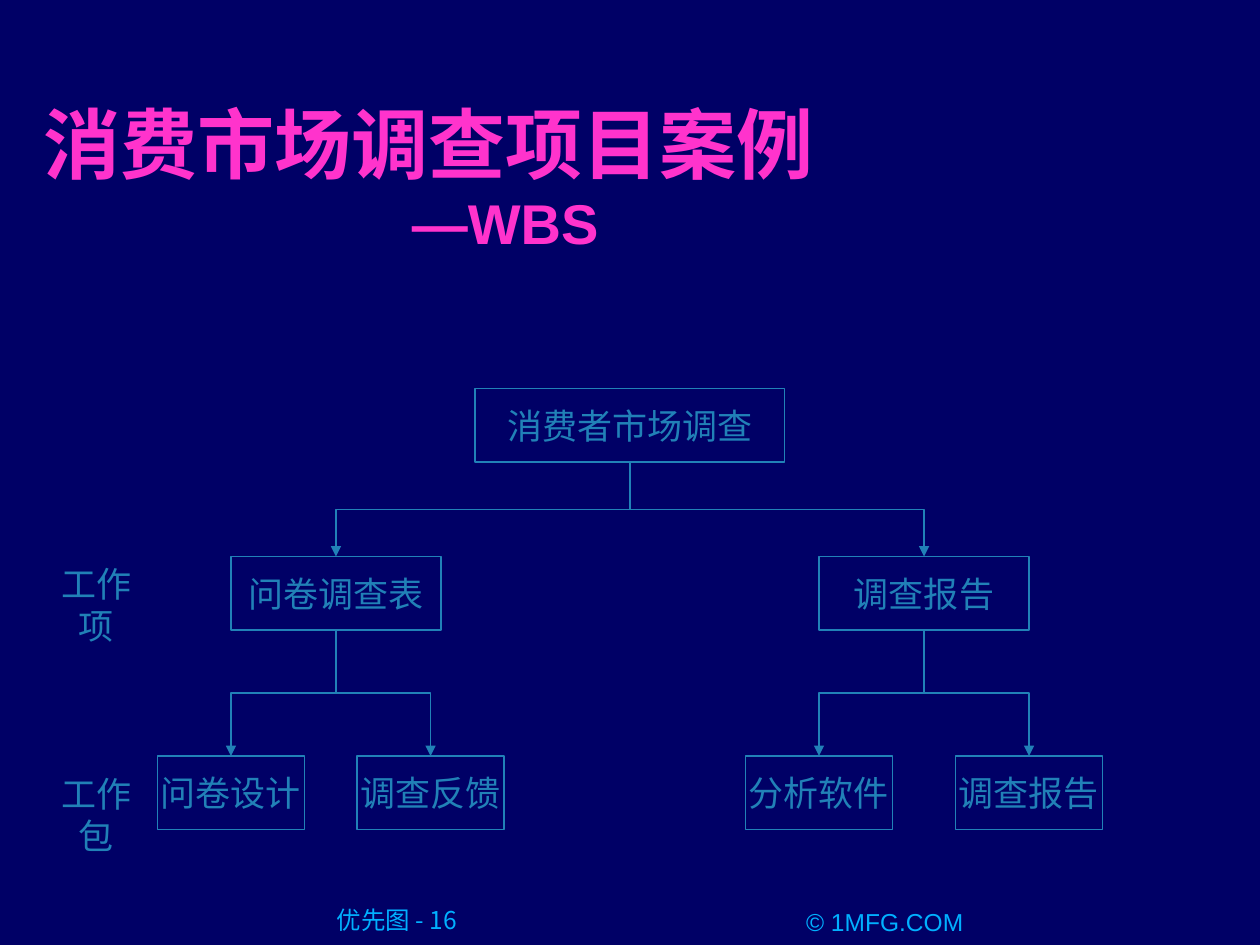
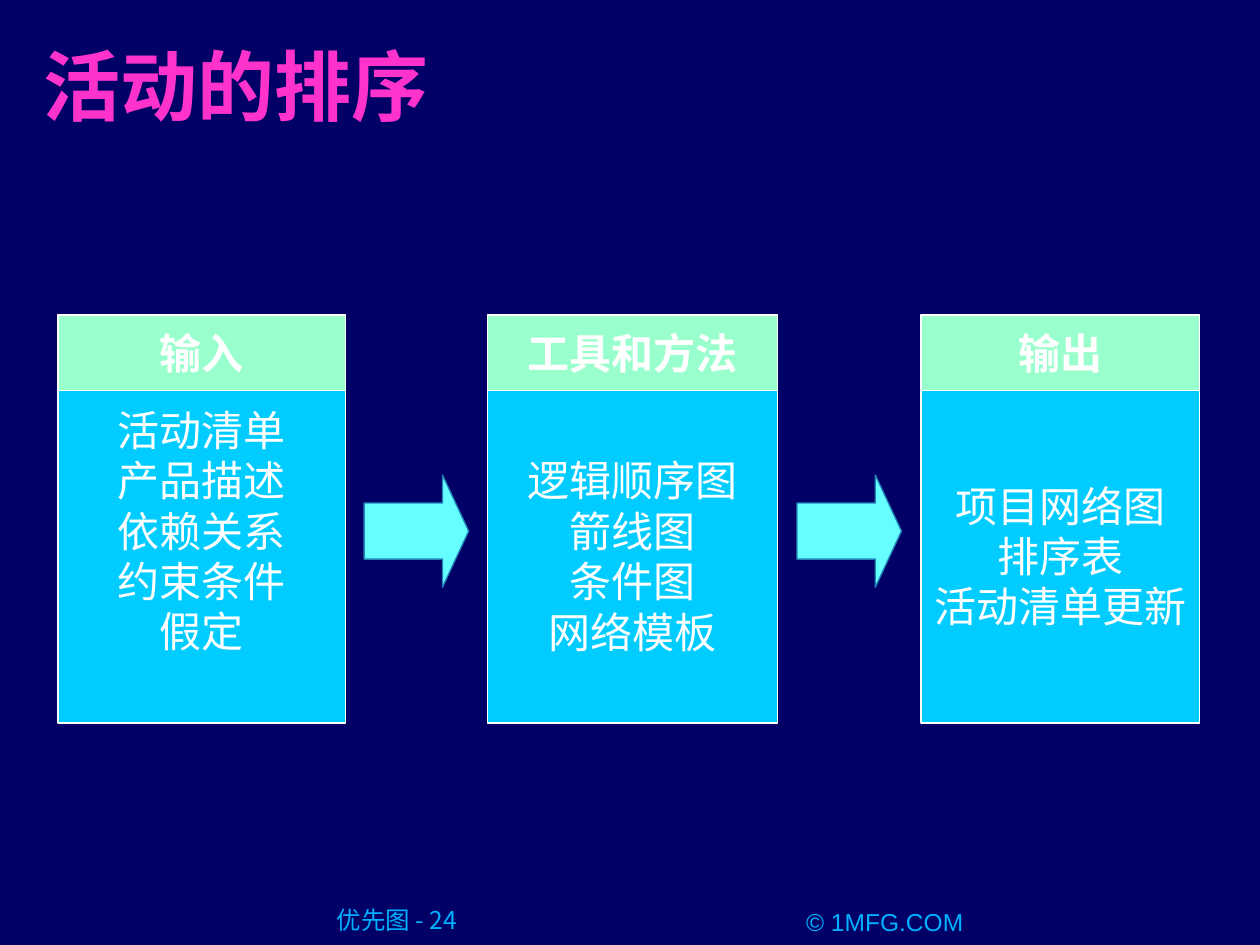
from lxml import etree
from pptx import Presentation
from pptx.dml.color import RGBColor
from pptx.enum.shapes import MSO_CONNECTOR, MSO_SHAPE
from pptx.enum.text import MSO_ANCHOR, PP_ALIGN
from pptx.oxml.ns import qn
from pptx.util import Inches, Pt

RECTANGLE, RIGHT_ARROW = MSO_SHAPE.RECTANGLE, MSO_SHAPE.RIGHT_ARROW
ELBOW = MSO_CONNECTOR.ELBOW
TOP, MIDDLE, BOTTOM = MSO_ANCHOR.TOP, MSO_ANCHOR.MIDDLE, MSO_ANCHOR.BOTTOM
LEFT, CENTER = PP_ALIGN.LEFT, PP_ALIGN.CENTER

COLORS = {
    "background": "000066", "title": "FF33CC", "footer": "01B0FF",
    "tree": "2181B7", "white": "FFFFFF", "header": "99FFCC",
    "panel": "00CCFF", "arrow": "66FFFF",
}
SANS, SERIF, CJK = "Arial", "Times New Roman", "Noto Sans CJK JP"

# The tree lies on a grid of twelfths of an inch: text, centre column, children.
TREE = ("消费者市场调查", 60, [
    ("问卷调查表", 32, [("问卷设计", 22, []), ("调查反馈", 41, [])]),
    ("调查报告", 88, [("分析软件", 78, []), ("调查报告", 98, [])]),
])
LEVELS = [(37, 29.5), (53, 20), (72, 14)]  # top row, box width in columns
BOX_ROWS = 7
LEVEL_LABELS = [("工作项", 53), ("工作包", 73)]

# Left and width in inches, heading, lines, lines left free at the bottom.
PANELS = [
    (0.46, 2.28, "输入", ["活动清单", "产品描述", "依赖关系", "约束条件", "假定"], 1),
    (3.87, 2.3, "工具和方法", ["逻辑顺序图", "箭线图", "条件图", "网络模板"], 0),
    (7.31, 2.21, "输出", ["项目网络图", "排序表", "活动清单更新"], 0),
]
HEADER_TOP, HEADER_HEIGHT = 2.5, 0.6
PANEL_TOP, PANEL_HEIGHT, LINE_HEIGHT = 3.08, 2.66, 0.4
ARROW_TOP, ARROW_WIDTH, ARROW_HEIGHT = 3.77, 0.83, 0.89


def color(name):
    return RGBColor.from_string(COLORS[name])


def grid(count):
    return count / 12


def write(shape, lines, size, font, tint, bold=False, align=CENTER,
          anchor=MIDDLE, wrap=False, insets=(0.1, 0.05, 0.1, 0.05)):
    frame = shape.text_frame
    frame.text = "\n".join(lines)
    frame.word_wrap, frame.vertical_anchor = wrap, anchor
    (frame.margin_left, frame.margin_top,
     frame.margin_right, frame.margin_bottom) = map(Inches, insets)
    for para in frame.paragraphs:
        para.alignment = align
        for span in para.runs:
            span.font.size, span.font.name, span.font.bold = Pt(size), font, bold
            span.font.color.rgb = color(tint)
    return frame


def add_text(page, place, lines, size, font, tint, **style):
    box = page.shapes.add_textbox(*map(Inches, place))
    return write(box, lines, size, font, tint, **style)


def add_box(page, kind, place, line, fill=None):
    box = page.shapes.add_shape(kind, *map(Inches, place))
    box.shadow.inherit = False
    box.line.color.rgb, box.line.width = color(line), Pt(0.75)
    if fill:
        box.fill.solid()
        box.fill.fore_color.rgb = color(fill)
    else:
        box.fill.background()
    return box


def add_page(deck, title, number, top, height):
    page = deck.slides.add_slide(deck.slide_layouts[6])
    add_text(page, (2.01, 7.18, 2.08, 0.27), [f"优先图 - {number}"], 14, CJK,
             "footer", anchor=TOP, wrap=True, insets=(0.2, 0, 0, 0))
    add_text(page, (5.87, 7.2, 2.25, 0.23), [" © 1MFG.COM"], 14, SANS,
             "footer", anchor=TOP, wrap=True, insets=(0, 0, 0, 0))
    frame = add_text(page, (0.25, top, 9.5, height), title, 44, SANS, "title",
                     bold=True, align=LEFT, anchor=BOTTOM, wrap=True)
    for subtitle in frame.paragraphs[1:]:
        subtitle._p.get_or_add_pPr().set("marL", str(Inches(2.92)))
        subtitle.runs[0].font.size = Pt(32)
    return page


def join_down(page, parent, child):
    """Draw an elbow arrow from the parent's bottom to the child's top."""
    start_x, start_y = parent.left + parent.width // 2, parent.top + parent.height
    end_x, end_y = child.left + child.width // 2, child.top
    drop, shift = end_y - start_y, abs(end_x - start_x)
    arrow = page.shapes.add_connector(ELBOW, start_x, start_y, end_x, end_y)
    arrow.begin_connect(parent, 2)
    arrow.end_connect(child, 0)
    # A quarter turn makes the elbow leave and arrive vertically.
    arrow.left = (start_x + end_x - drop) // 2
    arrow.top = (start_y + end_y - shift) // 2
    arrow.width, arrow.height = drop, shift
    properties = arrow._element.spPr
    frame = properties.find(qn("a:xfrm"))
    to_right = end_x > start_x
    frame.set("rot", str((270 if to_right else 90) * 60000))
    frame.set("flipH", "1" if to_right else "0")
    arrow.line.color.rgb, arrow.line.width = color("tree"), Pt(0.75)
    etree.SubElement(arrow.line._get_or_add_ln(), qn("a:tailEnd"), type="triangle")
    etree.SubElement(properties, qn("a:effectLst"))


def add_branch(page, node, level=0):
    text, center, children = node
    top, width = LEVELS[level]
    place = map(grid, (center - width / 2, top, width, BOX_ROWS))
    box = add_box(page, RECTANGLE, place, "tree")
    write(box, [text], 20, SERIF, "tree")
    for child in children:
        join_down(page, box, add_branch(page, child, level + 1))
    return box


def add_breakdown_page(deck):
    page = add_page(deck, ["消费市场调查项目案例", "—WBS"], 16, 0.71, 1.37)
    add_branch(page, TREE)
    for label, row in LEVEL_LABELS:
        add_text(page, (0.25, grid(row), 1.03, 0.44), [label], 20, SERIF,
                 "tree", anchor=TOP)


def add_sequence_page(deck):
    page = add_page(deck, ["活动的排序"], 24, 0.25, 0.84)
    for left, width, heading, lines, free_lines in PANELS:
        panel = add_box(page, RECTANGLE, (left, PANEL_TOP, width, PANEL_HEIGHT),
                        "white", "panel")
        write(panel, lines, 24, SERIF, "white",
              insets=(0.1, 0.05, 0.1, 0.05 + free_lines * LINE_HEIGHT))
        header = add_box(page, RECTANGLE, (left, HEADER_TOP, width, HEADER_HEIGHT),
                         "white", "header")
        write(header, [heading], 24, SERIF, "white", bold=True)
    for before, after in zip(PANELS, PANELS[1:]):
        middle = (before[0] + before[1] + after[0]) / 2
        place = (middle - ARROW_WIDTH / 2, ARROW_TOP, ARROW_WIDTH, ARROW_HEIGHT)
        arrow = add_box(page, RIGHT_ARROW, place, "tree", "arrow")
        arrow.adjustments[0], arrow.adjustments[1] = 0.5, 0.25


def main():
    deck = Presentation()
    deck.slide_width, deck.slide_height = Inches(10), Inches(7.5)
    backdrop = deck.slide_master.background.fill
    backdrop.solid()
    backdrop.fore_color.rgb = color("background")
    add_breakdown_page(deck)
    add_sequence_page(deck)
    deck.save("out.pptx")


if __name__ == "__main__":
    main()
